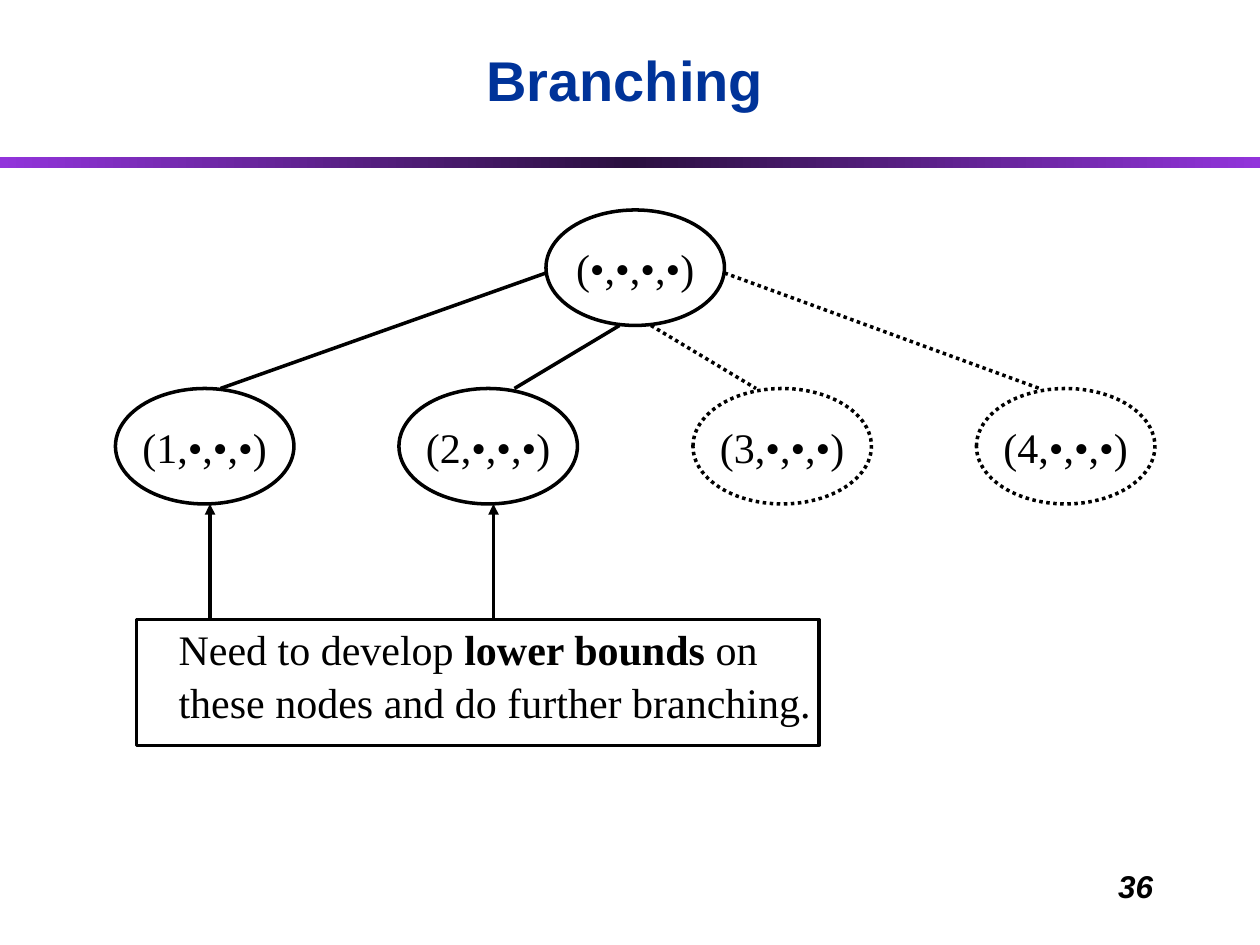
from copy import deepcopy
from dataclasses import dataclass

from lxml.etree import SubElement
from pptx import Presentation
from pptx.dml.color import RGBColor
from pptx.enum.dml import MSO_LINE
from pptx.enum.shapes import MSO_CONNECTOR, MSO_SHAPE
from pptx.enum.text import MSO_ANCHOR, PP_ALIGN
from pptx.oxml.ns import qn
from pptx.util import Pt

BLACK = RGBColor(0x00, 0x00, 0x00)
BLUE = RGBColor(0x00, 0x33, 0x99)
PURPLE = RGBColor(0x92, 0x34, 0xDB)
DARK = RGBColor(0x2B, 0x10, 0x40)
SANS, SERIF = "Arial", "Times New Roman"
NODE_W, NODE_H = 102, 66
ROW_Y = 222
BOX_Y = 354


@dataclass
class Node:
    text: str
    x: float
    y: float = ROW_Y
    dotted: bool = False


@dataclass
class Edge:
    x1: float
    y1: float
    x2: float
    y2: float
    dotted: bool = False
    arrow: bool = False


def add_run(p, text: str, size: float, font: str, color=BLACK,
            bold: bool = False, italic: bool = False) -> None:
    r = p.add_run()
    r.text = text
    r.font.size, r.font.name = Pt(size), font
    r.font.bold, r.font.italic = bold, italic
    r.font.color.rgb = color


def add_text(s, x: float, y: float, w: float, h: float, align, anchor=MSO_ANCHOR.TOP):
    tf = s.shapes.add_textbox(Pt(x), Pt(y), Pt(w), Pt(h)).text_frame
    tf.word_wrap = True
    tf.vertical_anchor = anchor
    tf.paragraphs[0].alignment = align
    return tf


def style_line(line, dotted: bool) -> None:
    line.color.rgb = BLACK
    line.width = Pt(2)
    if dotted:
        line.dash_style = MSO_LINE.ROUND_DOT


def add_outline(s, kind, x: float, y: float, w: float, h: float, dotted: bool = False):
    sp = s.shapes.add_shape(kind, Pt(x), Pt(y), Pt(w), Pt(h))
    sp.shadow.inherit = False
    sp.fill.background()
    style_line(sp.line, dotted)
    return sp


def add_node(s, node: Node) -> None:
    sp = add_outline(s, MSO_SHAPE.OVAL, node.x, node.y, NODE_W, NODE_H, node.dotted)
    tf = sp.text_frame
    tf.word_wrap = False
    tf.vertical_anchor = MSO_ANCHOR.MIDDLE
    p = tf.paragraphs[0]
    p.alignment = PP_ALIGN.CENTER
    add_run(p, node.text, 24, SERIF)


def add_edge(s, e: Edge) -> None:
    cx = s.shapes.add_connector(MSO_CONNECTOR.STRAIGHT,
                                Pt(e.x1), Pt(e.y1), Pt(e.x2), Pt(e.y2))
    style_line(cx.line, e.dotted)
    props = cx.line._get_or_add_ln()
    if e.arrow:
        SubElement(props, qn("a:tailEnd"), type="triangle")
    SubElement(props.getparent(), qn("a:effectLst"))


def add_rule(s) -> None:
    sp = s.shapes.add_shape(MSO_SHAPE.RECTANGLE, 0, Pt(90), Pt(720), Pt(6))
    sp.shadow.inherit = False
    sp.line.fill.background()
    sp.fill.gradient()
    sp.fill.gradient_angle = 0
    first = sp._element.spPr.find(".//" + qn("a:gs"))
    first.addnext(deepcopy(first))
    for stop, pos, color in zip(sp.fill.gradient_stops, (0, 0.5, 1), (PURPLE, DARK, PURPLE)):
        stop.position = pos
        stop.color.rgb = color


def main() -> None:
    prs = Presentation()
    prs.slide_width, prs.slide_height = Pt(720), Pt(540)
    s = prs.slides.add_slide(prs.slide_layouts[6])

    # Rule, page number and title
    add_rule(s)
    tf = add_text(s, 516, 492, 150, 36, PP_ALIGN.RIGHT)
    add_run(tf.paragraphs[0], "36", 18, SANS, bold=True, italic=True)
    tf = add_text(s, 216, 18, 282, 54, PP_ALIGN.CENTER, MSO_ANCHOR.MIDDLE)
    add_run(tf.paragraphs[0], "Branching", 32, SANS, BLUE, bold=True)

    # Tree nodes: the root, then one child per first value
    add_node(s, Node("(•,•,•,•)", 312, 120))
    for i, x in enumerate((66, 228, 396, 558), 1):
        add_node(s, Node(f"({i},•,•,•)", x, dotted=i > 2))

    # Branches, and arrows from the note to the open nodes
    edges = [
        Edge(312, 156, 126, ROW_Y),
        Edge(414, 156, 594, ROW_Y, dotted=True),
        Edge(354, 186, 294, ROW_Y),
        Edge(372, 186, 432, ROW_Y, dotted=True),
        *(Edge(x, BOX_Y, x, ROW_Y + NODE_H, arrow=True) for x in (120, 282)),
    ]
    for edge in edges:
        add_edge(s, edge)

    # Note
    add_outline(s, MSO_SHAPE.RECTANGLE, 78, BOX_Y, 390, 72)
    tf = add_text(s, 95, 351.5, 379.5, 65, PP_ALIGN.LEFT)
    lines = [
        [("Need to develop ", False), ("lower bounds", True), (" on", False)],
        [("these nodes and do further branching.", False)],
    ]
    for i, line in enumerate(lines):
        p = tf.add_paragraph() if i else tf.paragraphs[0]
        p.line_spacing = 1.05
        for text, bold in line:
            add_run(p, text, 24, SERIF, bold=bold)

    prs.save("out.pptx")


if __name__ == "__main__":
    main()
